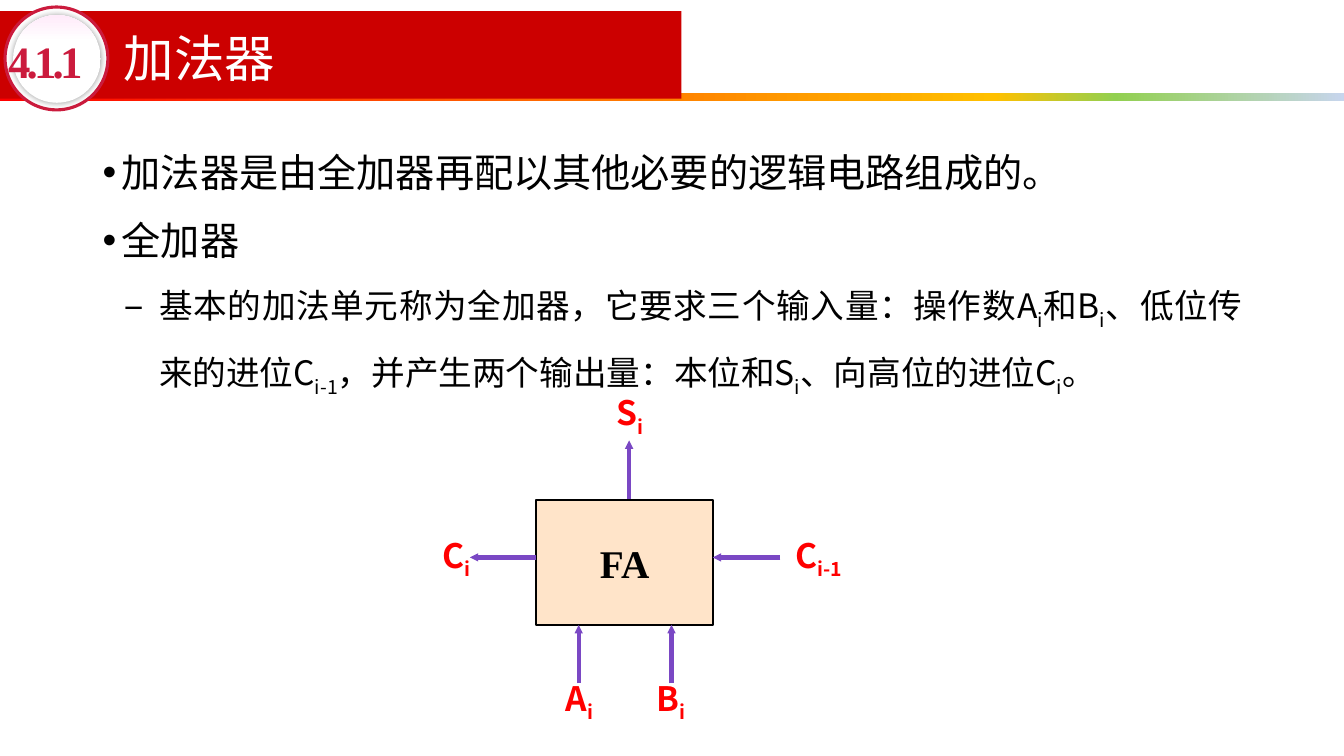
from lxml import etree
from pptx import Presentation
from pptx.dml.color import RGBColor
from pptx.enum import shapes, text
from pptx.oxml import ns
from pptx.util import Inches, Pt

RED = RGBColor(0xCC, 0x00, 0x00)
CRIMSON = RGBColor(0xCB, 0x1B, 0x3D)
LABEL_RED = RGBColor(0xFF, 0x00, 0x00)
WHITE = RGBColor(0xFF, 0xFF, 0xFF)
BLACK = RGBColor(0x00, 0x00, 0x00)
PEACH = RGBColor(0xFF, 0xE4, 0xC9)
PURPLE = RGBColor(0x7A, 0x48, 0xC4)
AMBER = RGBColor(0xFF, 0xC0, 0x00)
GREEN = RGBColor(0x92, 0xD0, 0x50)
PALE_BLUE = RGBColor(0xC7, 0xD5, 0xED)
PALE_PINK = RGBColor(0xFF, 0xEB, 0xFA)

RECT = shapes.MSO_SHAPE.RECTANGLE
OVAL = shapes.MSO_SHAPE.OVAL
CENTER = text.PP_ALIGN.CENTER
JUSTIFY = text.PP_ALIGN.JUSTIFY
MIDDLE = text.MSO_ANCHOR.MIDDLE


def child(parent, tag, **attributes):
    element = etree.SubElement(parent, ns.qn(tag))
    for name, value in attributes.items():
        element.set(name, str(value))
    return element


class SlideBuilder:
    sans = "Noto Sans CJK SC"
    serif = "Times New Roman"

    def __init__(self, slide):
        self.slide = slide

    def shape(self, preset, box, fill=None, line=None, width=0):
        shape = self.slide.shapes.add_shape(preset, *map(Inches, box))
        shape.shadow.inherit = False
        if fill is not None:
            shape.fill.solid()
            shape.fill.fore_color.rgb = fill
        if line is None:
            shape.line.fill.background()
        else:
            shape.line.color.rgb = line
            shape.line.width = Pt(width)
        return shape

    def gradient(self, preset, box, stops, angle=0):
        """Add a shape filled with (percent, colour) gradient stops."""
        shape = self.shape(preset, box)
        gradient = etree.Element(ns.qn("a:gradFill"), rotWithShape="1")
        stop_list = child(gradient, "a:gsLst")
        for percent, color in stops:
            stop = child(stop_list, "a:gs", pos=percent * 1000)
            child(stop, "a:srgbClr", val=color)
        child(gradient, "a:lin", ang=angle * 60000, scaled=0)
        shape._element.spPr.find(ns.qn("a:prstGeom")).addnext(gradient)
        return shape

    def glow_shadow(self, shape, blur, percent):
        """Give a shape a soft black shadow without offset."""
        effects = shape._element.spPr.find(ns.qn("a:effectLst"))
        shadow = child(effects, "a:outerShdw", blurRad=Pt(blur), dist=0, dir=0,
                       algn="ctr", rotWithShape=0)
        child(child(shadow, "a:srgbClr", val=BLACK), "a:alpha", val=percent * 1000)

    def frame(self, box, anchor=MIDDLE, wrap=True, margins=True):
        frame = self.slide.shapes.add_textbox(*map(Inches, box)).text_frame
        frame.word_wrap = wrap
        frame.vertical_anchor = anchor
        if not margins:
            frame.margin_left = frame.margin_right = 0
            frame.margin_top = frame.margin_bottom = 0
        return frame

    def run(self, paragraph, words, size, color, bold=False, font=None, sub=False):
        run = paragraph.add_run()
        run.text = words
        run.font.size = Pt(size)
        run.font.bold = bold
        run.font.color.rgb = color
        run.font.name = font or self.sans
        properties = run.font._element
        child(properties, "a:ea", typeface=font or self.sans)
        if sub:
            properties.set("baseline", "-25000")
        return run

    def subscripted(self, paragraph, parts, size, color, bold=False):
        """Add parts in turn as normal text and subscript."""
        for index, words in enumerate(parts):
            self.run(paragraph, words, size, color, bold, sub=index % 2 == 1)

    def bullet(self, paragraph, symbol, left, hanging, spacing):
        paragraph.alignment = JUSTIFY
        paragraph.line_spacing = Pt(spacing)
        properties = paragraph._p.get_or_add_pPr()
        properties.set("marL", str(Inches(left)))
        properties.set("indent", str(-Inches(hanging)))
        child(properties, "a:buFont", typeface="Arial")
        child(properties, "a:buChar", char=symbol)

    def signal(self, base, index, box):
        paragraph = self.frame(box).paragraphs[0]
        paragraph.alignment = CENTER
        self.subscripted(paragraph, (base, index), 24, LABEL_RED, bold=True)

    def arrow(self, start, end):
        line = self.slide.shapes.add_connector(
            shapes.MSO_CONNECTOR.STRAIGHT, *map(Inches, start + end))
        line.line.color.rgb = PURPLE
        line.line.width = Pt(3)
        child(line.line._get_or_add_ln(), "a:tailEnd", type="triangle", w="sm", len="sm")
        child(line._element.spPr, "a:effectLst")


def add_header(builder):
    builder.gradient(RECT, (0, 0.92, 13.33, 0.08),
                     [(0, LABEL_RED), (74, AMBER), (83, GREEN), (100, PALE_BLUE)])
    builder.shape(RECT, (0, 0.11, 6.76, 0.87), RED)
    builder.shape(OVAL, (0.05, 0.07, 1.02, 1.02), WHITE, CRIMSON, 2.25)
    badge = builder.gradient(OVAL, (0.13, 0.15, 0.87, 0.87),
                             [(0, WHITE), (70, WHITE), (100, PALE_PINK)], 270)
    builder.glow_shadow(badge, 5, 40)

    title = builder.frame((1.13, 0.2, 7.44, 0.82)).paragraphs[0]
    title.line_spacing = 0.9
    builder.run(title, "加法器", 36, WHITE)
    number = builder.frame((0.08, 0.33, 0.93, 0.54), wrap=False, margins=False)
    section = builder.run(number.paragraphs[0], "4.1.1", 32, CRIMSON, True, builder.serif)
    section.font._element.set("spc", "-270")


def add_body(builder):
    body = builder.frame((0.92, 1.15, 11.5, 5.44), anchor=text.MSO_ANCHOR.TOP)
    definition = body.paragraphs[0]
    builder.bullet(definition, "•", 0.19, 0.19, 53)
    builder.run(definition, "加法器是由全加器再配以其他必要的逻辑电路组成的。", 28, BLACK)
    full_adder = body.add_paragraph()
    builder.bullet(full_adder, "•", 0.19, 0.19, 49)
    builder.run(full_adder, "全加器", 28, BLACK)
    explanation = body.add_paragraph()
    explanation.level = 1
    builder.bullet(explanation, "−", 0.56, 0.35, 48)
    builder.subscripted(explanation, (
        "基本的加法单元称为全加器，它要求三个输入量：操作数A", "i", "和B", "i",
        "、低位传来的进位C", "i-1", "，并产生两个输出量：本位和S", "i",
        "、向高位的进位C", "i", "。"), 24, BLACK)


def add_adder_diagram(builder):
    adder = builder.shape(RECT, (5.32, 4.96, 1.75, 1.24), PEACH, BLACK, 1.5)
    adder.text_frame.vertical_anchor = MIDDLE
    caption = adder.text_frame.paragraphs[0]
    caption.alignment = CENTER
    builder.run(caption, "FA", 28, BLACK, True, builder.serif)

    for start, end in [
        ((7.74, 5.53), (7.07, 5.53)),
        ((5.32, 5.53), (4.66, 5.53)),
        ((5.74, 6.78), (5.74, 6.2)),
        ((6.66, 6.78), (6.66, 6.2)),
        ((6.24, 4.95), (6.24, 4.37)),
    ]:
        builder.arrow(start, end)

    for base, index, left, top, width in [
        ("A", "i", 5.41, 6.7, 0.67),
        ("B", "i", 6.32, 6.7, 0.67),
        ("S", "i", 5.91, 3.87, 0.67),
        ("C", "i-1", 7.66, 5.28, 0.92),
        ("C", "i", 4.07, 5.28, 0.92),
    ]:
        builder.signal(base, index, (left, top, width, 0.5))


def main():
    deck = Presentation()
    deck.slide_width, deck.slide_height = Inches(13.33), Inches(7.5)
    builder = SlideBuilder(deck.slides.add_slide(deck.slide_layouts[6]))
    add_header(builder)
    add_body(builder)
    add_adder_diagram(builder)
    deck.save("out.pptx")


if __name__ == "__main__":
    main()
